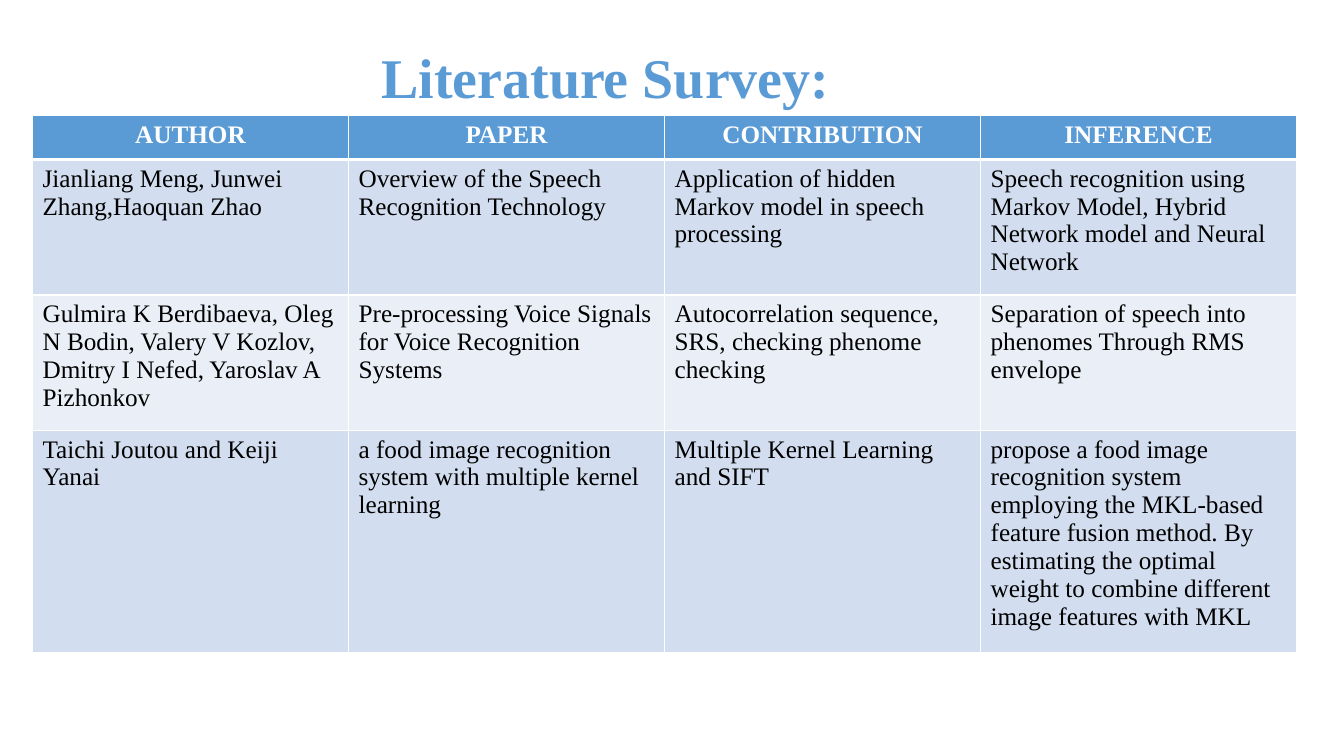
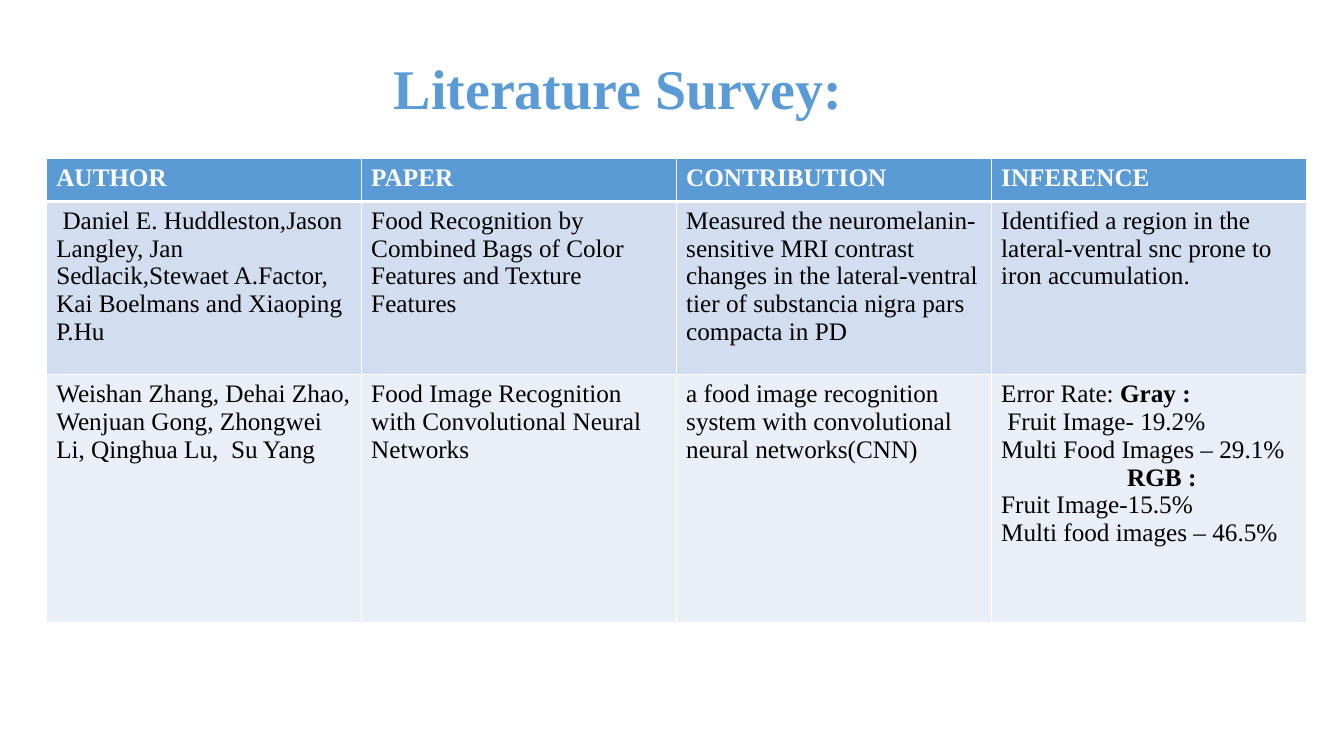
"""Build two literature survey slides, each a title above a table."""
import pptx
import pptx.util
import pptx.dml.color
import pptx.enum.text
import pptx.oxml

ALIGN = pptx.enum.text.PP_ALIGN
PX = 9525
FONT = "Times New Roman"
BLUE, WHITE, BLACK = "5B9BD5", "FFFFFF", "000000"
BANDS = ("D2DEEF", "EAEFF7")
TITLE = "Literature Survey:"
TITLE_SIZE = (451, 74)
HEADINGS = ("AUTHOR", "PAPER", "CONTRIBUTION", "INFERENCE")

ERROR_RATES = [
    (0, [("Error Rate: ", False), ("Gray :", True)]),
    (0, [(" Fruit Image- 19.2%", False)]),
    (0, [("Multi Food Images – 29.1%", False)]),
    (120, [("RGB :", True)]),
    (0, [("Fruit Image-15.5%", False)]),
    (0, [("Multi food images – 46.5%", False)]),
]

SURVEYS = [
    {
        "title_at": (351, 36),
        "table_at": (31, 110),
        "column": 301,
        "heights": (42, 129, 129, 210),
        "heading_align": ALIGN.CENTER,
        "papers": [
            ("Jianliang Meng, Junwei Zhang,Haoquan Zhao",
             "Overview of the Speech Recognition Technology",
             "Application of hidden Markov model in speech processing",
             "Speech recognition using Markov Model, Hybrid Network model "
             "and Neural Network"),
            ("Gulmira K Berdibaeva, Oleg N Bodin, Valery V Kozlov, "
             "Dmitry I Nefed, Yaroslav A Pizhonkov",
             "Pre-processing Voice Signals for Voice Recognition Systems",
             "Autocorrelation sequence, SRS, checking phenome checking",
             "Separation of speech into phenomes Through RMS envelope"),
            ("Taichi Joutou and Keiji Yanai",
             "a food image recognition system with multiple kernel learning",
             "Multiple Kernel Learning and SIFT",
             "propose a food image recognition system employing the MKL-based "
             "feature fusion method. By estimating the optimal weight to "
             "combine different image features with MKL"),
        ],
    },
    {
        "title_at": (363, 46),
        "table_at": (44, 151),
        "column": 300,
        "heights": (41, 165, 236),
        "heading_align": ALIGN.JUSTIFY,
        "papers": [
            (" Daniel E. Huddleston,Jason Langley, Jan Sedlacik,"
             "Stewaet A.Factor, Kai Boelmans and Xiaoping P.Hu",
             "Food Recognition by Combined Bags of Color Features and "
             "Texture Features",
             "Measured the neuromelanin-sensitive MRI contrast changes in the "
             "lateral-ventral tier of substancia nigra pars compacta in PD",
             "Identified a region in the lateral-ventral snc prone to iron "
             "accumulation."),
            ("Weishan Zhang, Dehai Zhao, Wenjuan Gong, Zhongwei Li, "
             "Qinghua Lu,  Su Yang",
             "Food Image Recognition with Convolutional Neural Networks",
             "a food image recognition system with convolutional neural "
             "networks(CNN)",
             ERROR_RATES),
        ],
    },
]


def px(*lengths):
    return [pptx.util.Emu(length * PX) for length in lengths]


def rgb(color):
    return pptx.dml.color.RGBColor.from_string(color)


def set_font(font, size, color):
    font.name, font.size = FONT, pptx.util.Pt(size)
    font.color.rgb = rgb(color)


def add_title(slide, position):
    title = slide.shapes.title
    title.left, title.top, title.width, title.height = px(*position, *TITLE_SIZE)
    frame = title.text_frame
    frame.text = TITLE
    frame.word_wrap = False
    frame.auto_size = pptx.enum.text.MSO_AUTO_SIZE.SHAPE_TO_FIT_TEXT
    frame.vertical_anchor = pptx.enum.text.MSO_ANCHOR.TOP
    heading = frame.paragraphs[0]
    heading.alignment = ALIGN.CENTER
    set_font(heading.font, 40, BLUE)
    heading.font.bold = True


def add_borders(cell, row):
    points = {"L": 1, "R": 1, "T": 3 if row == 1 else 1, "B": 3 if row == 0 else 1}
    properties = cell._tc.get_or_add_tcPr()
    for side, width in points.items():
        properties.append(pptx.oxml.parse_xml(
            '<a:ln%s xmlns:a="http://schemas.openxmlformats.org/drawingml/2006/main"'
            ' w="%d"><a:solidFill><a:srgbClr val="%s"/></a:solidFill></a:ln%s>'
            % (side, pptx.util.Pt(width), WHITE, side)))


def fill_cell(cell, content, row, heading_align):
    is_heading = row == 0
    add_borders(cell, row)
    cell.fill.solid()
    cell.fill.fore_color.rgb = rgb(BLUE if is_heading else BANDS[(row - 1) % 2])
    lines = [(0, [(content, is_heading)])] if isinstance(content, str) else content
    frame = cell.text_frame
    for number, (indent, runs) in enumerate(lines):
        line = frame.add_paragraph() if number else frame.paragraphs[0]
        line.alignment = heading_align if is_heading else ALIGN.LEFT
        set_font(line.font, 18, WHITE if is_heading else BLACK)
        if indent:
            line._p.get_or_add_pPr().set("marL", str(indent * PX))
        for text, bold in runs:
            run = line.add_run()
            run.text = text
            run.font.bold = bold


def add_survey(slide, survey):
    rows = [HEADINGS, *survey["papers"]]
    heights = survey["heights"]
    size = (survey["column"] * len(HEADINGS), sum(heights))
    table = slide.shapes.add_table(
        len(rows), len(HEADINGS), *px(*survey["table_at"], *size)).table
    for column in table.columns:
        column.width = px(survey["column"])[0]
    for row, (contents, height) in enumerate(zip(rows, heights)):
        table.rows[row].height = px(height)[0]
        for column, content in enumerate(contents):
            fill_cell(table.cell(row, column), content, row, survey["heading_align"])


def main():
    deck = pptx.Presentation()
    deck.slide_width, deck.slide_height = px(1280, 720)
    for survey in SURVEYS:
        slide = deck.slides.add_slide(deck.slide_layouts[5])
        add_title(slide, survey["title_at"])
        add_survey(slide, survey)
    deck.save("out.pptx")


if __name__ == "__main__":
    main()
